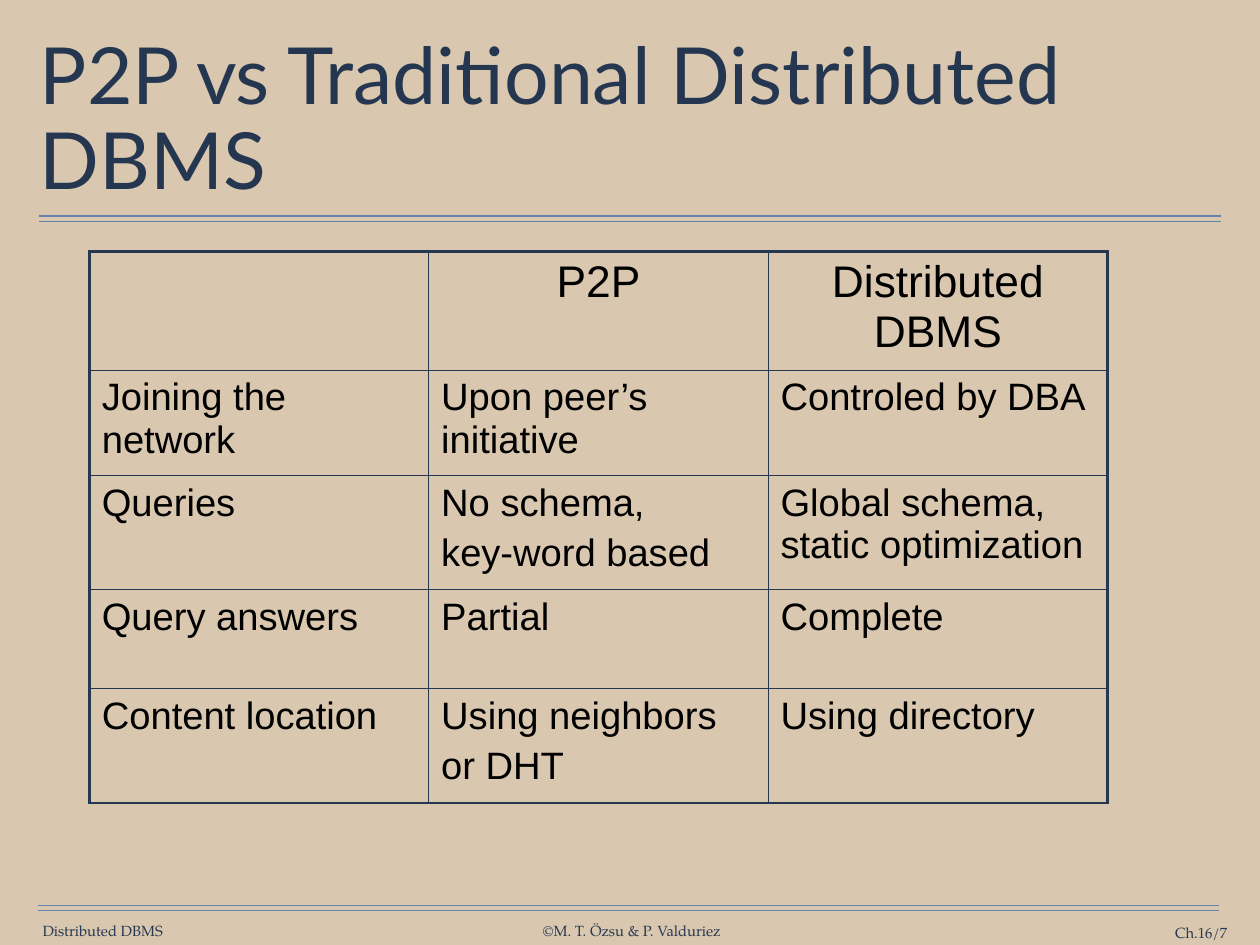
from pptx import Presentation
from pptx.dml.color import RGBColor
from pptx.enum.shapes import MSO_CONNECTOR
from pptx.enum.text import MSO_ANCHOR, PP_ALIGN
from pptx.oxml.ns import qn
from pptx.util import Inches, Pt
from lxml.etree import SubElement

SAND = RGBColor(0xD9, 0xC8, 0xAF)
NAVY = RGBColor(0x26, 0x37, 0x50)
TITLE_NAVY = RGBColor(0x25, 0x37, 0x50)
STEEL = RGBColor(0x66, 0x82, 0xAA)
BLACK = RGBColor(0, 0, 0)

FOOTER_FONT = {"name": "TeX Gyre Pagella", "size": 12, "color": NAVY}
TITLE_FONT = {"name": "Lato", "size": 64, "color": TITLE_NAVY}
HEADER_FONT = {"name": "Arial", "size": 36, "color": BLACK}
BODY_FONT = {"name": "Arial", "size": 31, "color": BLACK}

ROWS = [
    ["", "P2P", "Distributed DBMS"],
    ["Joining the network", "Upon peer’s initiative", "Controled by DBA"],
    ["Queries", "No schema,\nkey-word based", "Global schema, static optimization"],
    ["Query answers", "Partial", "Complete"],
    ["Content location", "Using neighbors\nor DHT", "Using directory"],
]
ROW_HEIGHTS = [1.33, 1.19, 1.29, 1.12, 1.29]
COL_WIDTH = 3.83


def style_paragraph(p, font, align):
    p.alignment = align
    p.font.name = font["name"]
    p.font.size = Pt(font["size"])
    p.font.color.rgb = font["color"]


def add_text(s, text, box, font, align, margin=0, wrap=False):
    tf = s.shapes.add_textbox(*map(Inches, box)).text_frame
    formats = {"word_wrap": wrap, "vertical_anchor": MSO_ANCHOR.MIDDLE, "text": text}
    for side in ("left", "top", "right", "bottom"):
        formats[f"margin_{side}"] = Inches(margin)
    for key, value in formats.items():
        setattr(tf, key, value)
    p = tf.paragraphs[0]
    style_paragraph(p, font, align)
    return p


def add_double_rule(s, left, right, top):
    for y in (top, top + 0.06):
        line = s.shapes.add_connector(
            MSO_CONNECTOR.STRAIGHT, *map(Inches, (left, y, right, y)))
        line.line.color.rgb = STEEL
        line.line.width = Pt(1)
        SubElement(line._element.spPr, qn("a:effectLst"))


def set_borders(cell, outer):
    tc_pr = cell._tc.get_or_add_tcPr()
    for side in "LRTB":
        width = Pt(2.25 if side in outer else 1)
        ln = SubElement(tc_pr, qn(f"a:ln{side}"), w=str(width))
        fill = SubElement(ln, qn("a:solidFill"))
        SubElement(fill, qn("a:srgbClr"), val=str(NAVY))


def fill_cell(cell, text, font, align):
    margins = {"margin_left": 0.14, "margin_right": 0.14,
               "margin_top": 0.07, "margin_bottom": 0.07}
    for key, value in margins.items():
        setattr(cell, key, Inches(value))
    cell.fill.background()
    if not text:
        return
    tf = cell.text_frame
    tf.text = text
    for i, p in enumerate(tf.paragraphs):
        style_paragraph(p, font, align)
        if i:
            p.space_before = Pt(6)


def add_comparison(s, left, top):
    n_rows, n_cols = len(ROWS), len(ROWS[0])
    size = (COL_WIDTH * n_cols, sum(ROW_HEIGHTS))
    table = s.shapes.add_table(
        n_rows, n_cols, *map(Inches, (left, top, *size))).table
    table.first_row = table.horz_banding = False
    for col in table.columns:
        col.width = Inches(COL_WIDTH)
    for r, (height, texts) in enumerate(zip(ROW_HEIGHTS, ROWS)):
        table.rows[r].height = Inches(height)
        font, align = (BODY_FONT, PP_ALIGN.LEFT) if r else (HEADER_FONT, PP_ALIGN.CENTER)
        for c, text in enumerate(texts):
            edges = {"L": c == 0, "R": c == n_cols - 1, "T": r == 0, "B": r == n_rows - 1}
            cell = table.cell(r, c)
            set_borders(cell, [side for side, on_edge in edges.items() if on_edge])
            fill_cell(cell, text, font, align)


def main():
    prs = Presentation()
    prs.slide_width, prs.slide_height = Inches(14.22), Inches(10.67)
    s = prs.slides.add_slide(prs.slide_layouts[6])
    s.background.fill.solid()
    s.background.fill.fore_color.rgb = SAND

    add_double_rule(s, 0.44, 13.78, 2.44)
    add_double_rule(s, 0.43, 13.76, 10.22)
    add_text(s, "Distributed DBMS", (0.47, 10.41, 1.38, 0.2), FOOTER_FONT, PP_ALIGN.CENTER)
    add_text(s, "©M. T. Özsu & P. Valduriez", (6.11, 10.41, 2.04, 0.2),
             FOOTER_FONT, PP_ALIGN.CENTER)
    add_text(s, "Ch.16/7", (12.31, 10.43, 1.54, 0.2), FOOTER_FONT, PP_ALIGN.RIGHT, wrap=True)
    title = add_text(s, "P2P vs Traditional Distributed DBMS", (0.39, 0.49, 13.44, 1.76),
                     TITLE_FONT, PP_ALIGN.LEFT, margin=0.06, wrap=True)
    title.line_spacing = 0.9
    add_comparison(s, 1.01, 2.84)
    prs.save("out.pptx")


if __name__ == "__main__":
    main()
